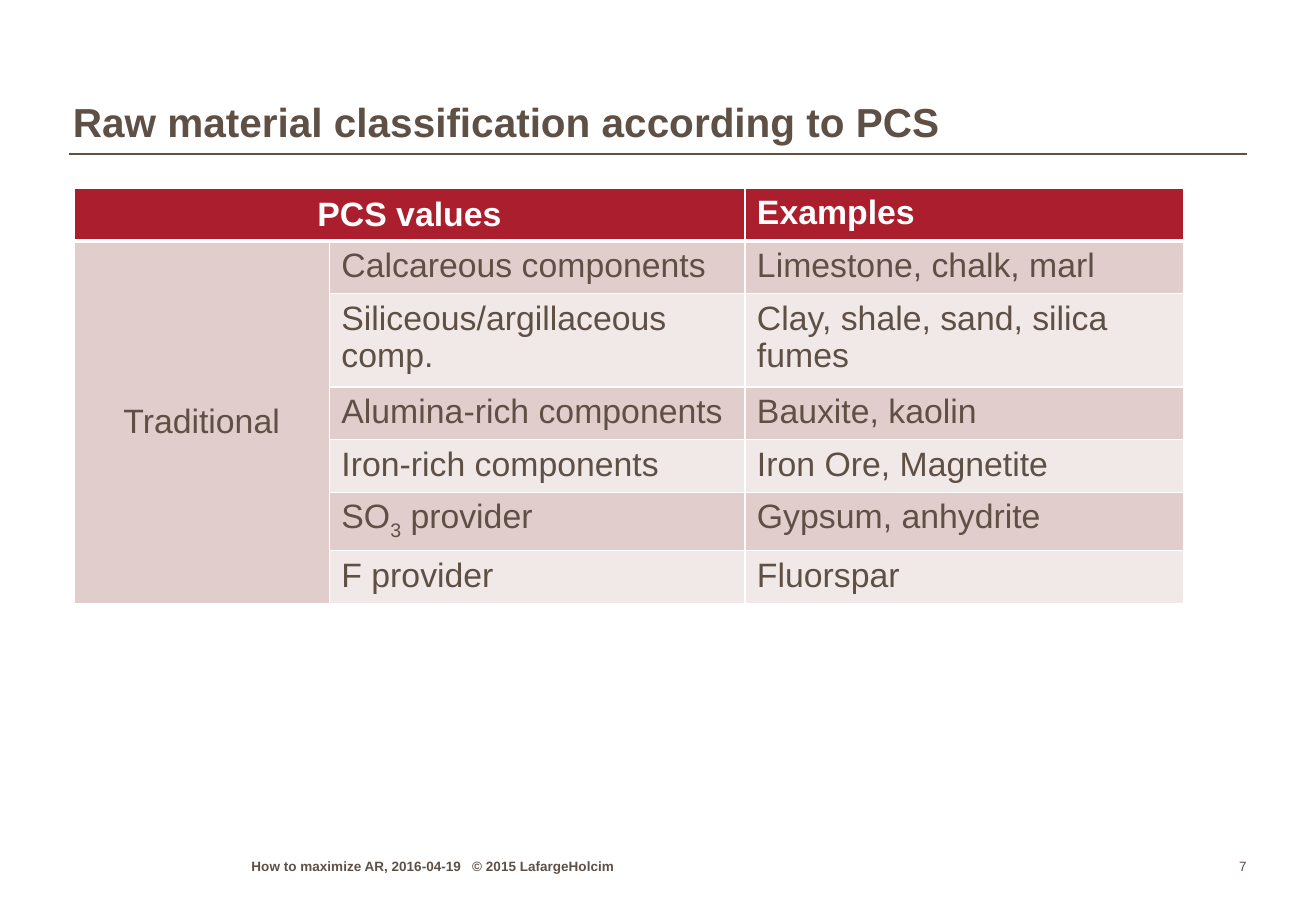
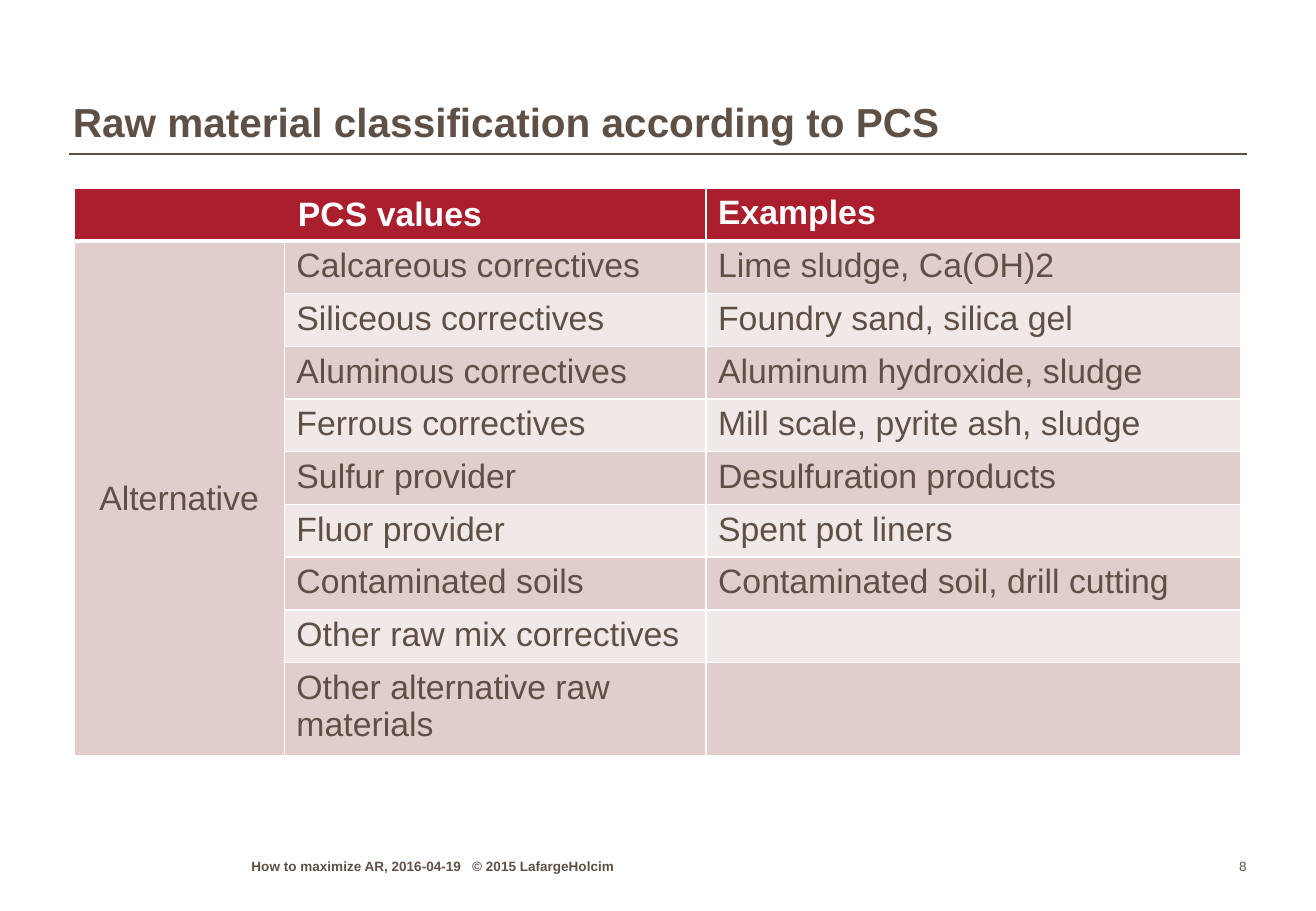
from lxml import etree
from pptx import Presentation
from pptx.dml.color import RGBColor
from pptx.enum.shapes import MSO_CONNECTOR
from pptx.enum.text import MSO_ANCHOR, PP_ALIGN
from pptx.oxml.ns import qn
from pptx.util import Inches, Pt

LEFT, CENTER, RIGHT = PP_ALIGN.LEFT, PP_ALIGN.CENTER, PP_ALIGN.RIGHT
TOP, MIDDLE, BOTTOM = MSO_ANCHOR.TOP, MSO_ANCHOR.MIDDLE, MSO_ANCHOR.BOTTOM
STRAIGHT = MSO_CONNECTOR.STRAIGHT

FONT = "Arial"
BROWN, RED, WHITE = "5F5046", "AA1E2D", "FFFFFF"
BANDS = ("F1E8E8", "E2CDCD")
ROW_HEIGHT = 0.41
TITLE = "Raw material classification according to PCS"
FOOTER = "How to maximize AR, 2016-04-19   © 2015 LafargeHolcim"
HEADERS = ("PCS values", "Examples")

TRADITIONAL = [
    ("Calcareous components", "Limestone, chalk, marl"),
    ("Siliceous/argillaceous comp.", "Clay, shale, sand, silica fumes"),
    ("Alumina-rich components", "Bauxite, kaolin"),
    ("Iron-rich components", "Iron Ore, Magnetite"),
    ("SO|3| provider", "Gypsum, anhydrite"),
    ("F provider", "Fluorspar"),
]
ALTERNATIVE = [
    ("Calcareous correctives", "Lime sludge, Ca(OH)2"),
    ("Siliceous correctives", "Foundry sand, silica gel"),
    ("Aluminous correctives", "Aluminum hydroxide, sludge"),
    ("Ferrous correctives", "Mill scale, pyrite ash, sludge"),
    ("Sulfur provider", "Desulfuration products"),
    ("Fluor provider", "Spent pot liners"),
    ("Contaminated soils", "Contaminated soil, drill cutting"),
    ("Other raw mix correctives", ""),
    ("Other alternative raw materials", ""),
]


def rgb(color):
    """Turn a hex string into a colour."""
    return RGBColor.from_string(color)


def write(p, text, size, color=BROWN, bold=False, align=LEFT):
    """Fill a paragraph with runs; parts between bars are subscripts."""
    p.alignment = align
    p.font.size = Pt(size)
    for i, part in enumerate(text.split("|") if text else []):
        r = p.add_run()
        r.text = part
        r.font.name, r.font.size, r.font.bold = FONT, Pt(size), bold
        r.font.color.rgb = rgb(color)
        if i % 2:
            r.font._element.set("baseline", "-25000")


def add_text(s, box, text, size, bold=False, align=LEFT, wrap=True):
    """Add a bottom-anchored text box without margins and return its paragraph."""
    tf = s.shapes.add_textbox(*map(Inches, box)).text_frame
    tf.word_wrap, tf.vertical_anchor = wrap, BOTTOM
    tf.margin_left = tf.margin_right = tf.margin_top = tf.margin_bottom = 0
    p = tf.paragraphs[0]
    write(p, text, size, bold=bold, align=align)
    return p


def add_frame(s, number):
    """Add the title, the rule below it, the footer and the page number."""
    rule = s.shapes.add_connector(STRAIGHT, *map(Inches, (0.57, 1.27, 10.26, 1.27)))
    rule.line.color.rgb, rule.line.width = rgb(BROWN), Pt(1)
    etree.SubElement(rule._element.spPr, qn("a:effectLst"))
    add_text(s, (0.6, 0.28, 9.69, 0.93), TITLE, 24, bold=True).line_spacing = 0.95
    add_text(s, (2.07, 7.02, 3.47, 0.18), FOOTER, 8, bold=True)
    add_text(s, (9.79, 7.02, 0.47, 0.18), str(number), 8, align=RIGHT, wrap=False)


def style_cell(cell, row):
    """Give a cell white borders and the fill of its row."""
    tcPr = cell._tc.get_or_add_tcPr()
    for side in "LRTB":
        thick = (row, side) in ((0, "B"), (1, "T"))
        ln = etree.SubElement(tcPr, qn(f"a:ln{side}"), w=str(Pt(3 if thick else 1)))
        fill = etree.SubElement(ln, qn("a:solidFill"))
        etree.SubElement(fill, qn("a:srgbClr"), val=WHITE)
    cell.fill.solid()
    cell.fill.fore_color.rgb = rgb(BANDS[row % 2] if row else RED)


def add_class_table(s, left, top, widths, group, rows):
    """Add a table of PCS values and examples for one group of materials."""
    count = len(rows) + 1
    box = (left, top, sum(widths), count * ROW_HEIGHT)
    table = s.shapes.add_table(count, 3, *map(Inches, box)).table
    for column, width in zip(table.columns, widths):
        column.width = Inches(width)
    for i in range(count):
        table.rows[i].height = Inches(ROW_HEIGHT)
        for j in range(3):
            style_cell(table.cell(i, j), i)
    table.cell(0, 0).merge(table.cell(0, 1))
    table.cell(1, 0).merge(table.cell(count - 1, 0))

    def put(i, j, text, color=BROWN, bold=False, middle=False):
        """Write one cell."""
        cell = table.cell(i, j)
        cell.vertical_anchor = MIDDLE if middle else TOP
        write(cell.text_frame.paragraphs[0], text, 20, color, bold,
              CENTER if middle else LEFT)

    put(0, 0, HEADERS[0], WHITE, True, True)
    put(0, 2, HEADERS[1], WHITE, True)
    put(1, 0, group, middle=True)
    for i, pair in enumerate(rows, 1):
        for j, text in enumerate(pair, 1):
            put(i, j, text)


def main():
    """Build the slides and save them."""
    prs = Presentation()
    prs.slide_width, prs.slide_height = Inches(10.83), Inches(7.5)
    pages = [
        (7, (2.1, 3.42, 3.61), "Traditional", TRADITIONAL),
        (8, (1.73, 3.47, 4.4), "Alternative", ALTERNATIVE),
    ]
    for number, widths, group, rows in pages:
        s = prs.slides.add_slide(prs.slide_layouts[6])
        add_frame(s, number)
        add_class_table(s, 0.61, 1.55, widths, group, rows)
    prs.save("out.pptx")


if __name__ == "__main__":
    main()
